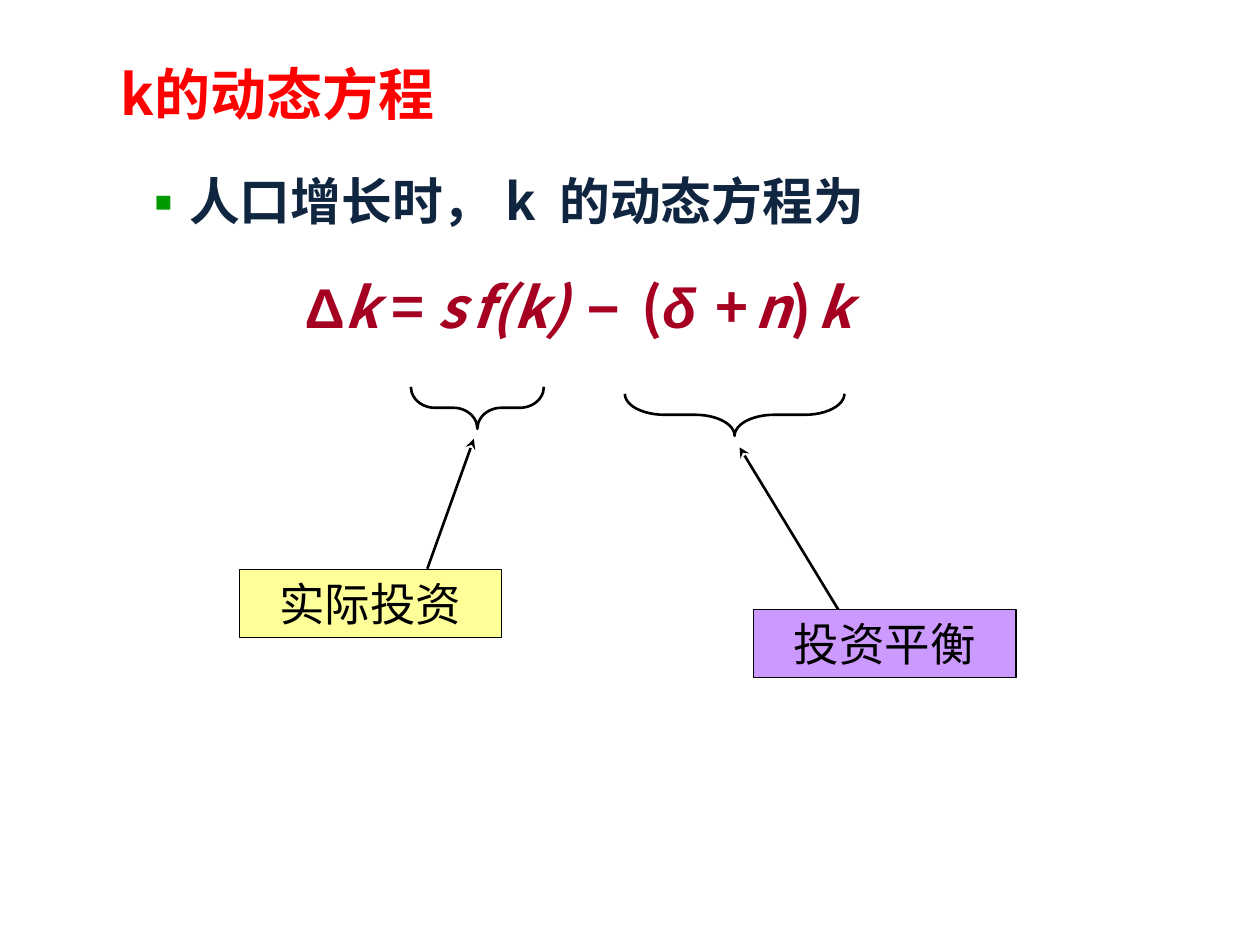
from pptx import Presentation
from pptx.dml.color import RGBColor
from pptx.enum.shapes import MSO_CONNECTOR, MSO_SHAPE
from pptx.enum.text import MSO_ANCHOR, PP_ALIGN
from pptx.oxml.ns import qn
from pptx.util import Pt
from lxml.etree import SubElement

CJK = "Noto Sans CJK SC"
COLORS = {
    "title": "FF0000",
    "body": "10253F",
    "bullet": "009900",
    "formula": "A50021",
    "black": "000000",
    "actual": "FFFF99",
    "balance": "CC99FF",
}
FORMULA = [
    ("Δ", 32, "Arial", False),
    ("k", 32, CJK, True),
    (" = ", 32, CJK, False),
    ("s", 32, CJK, True),
    (" ", 15, CJK, True),
    ("f(k)", 32, CJK, True),
    (" ", 15, CJK, True),
    (" ", 32, CJK, False),
    ("− ", 32, "Arial", False),
    (" ", 15, CJK, True),
    ("(", 32, CJK, False),
    ("δ", 32, "Arial", True),
    (" ", 15, CJK, True),
    (" +", 32, CJK, False),
    (" ", 15, CJK, True),
    ("n", 32, CJK, True),
    (")", 32, CJK, False),
    (" ", 15, CJK, True),
    ("k", 32, CJK, True),
]


def rgb(name):
    return RGBColor.from_string(COLORS[name])


def style_run(r, size, color, font=CJK, bold=False, italic=False):
    r.font.size = Pt(size)
    r.font.name = font
    r.font.bold = bold
    r.font.italic = italic
    r.font.color.rgb = rgb(color)
    SubElement(r._r.get_or_add_rPr(), qn("a:ea")).set("typeface", CJK)


def style_line(s, width):
    s.line.color.rgb = rgb("black")
    s.line.width = Pt(width)


def add_text_box(slide, x, y, w, h):
    tf = slide.shapes.add_textbox(Pt(x), Pt(y), Pt(w), Pt(h)).text_frame
    tf.word_wrap = True
    return tf


def add_title(slide, text):
    tf = add_text_box(slide, 62, 20, 420, 66)
    tf.vertical_anchor = MSO_ANCHOR.MIDDLE
    tf.text = text
    style_run(tf.paragraphs[0].runs[0], 32, "title", bold=True)


def add_bullet(p):
    pPr = p._p.get_or_add_pPr()
    pPr.set("marL", str(Pt(22.5)))
    pPr.set("indent", str(Pt(-22.5)))
    SubElement(SubElement(pPr, qn("a:buClr")), qn("a:srgbClr")).set("val", COLORS["bullet"])
    SubElement(pPr, qn("a:buFont")).set("typeface", CJK)
    SubElement(pPr, qn("a:buChar")).set("char", "▪")


def add_body(slide, text):
    tf = add_text_box(slide, 72, 90, 594, 168)
    tf.text = text
    p = tf.paragraphs[0]
    p.line_spacing = 1.1
    add_bullet(p)
    style_run(p.runs[0], 29, "body", bold=True)

    p = tf.add_paragraph()
    p.space_before = Pt(24)
    p._p.get_or_add_pPr().set("marL", str(Pt(95)))
    for part, size, font, italic in FORMULA:
        r = p.add_run()
        r.text = part
        style_run(r, size, "formula", font, True, italic)


def add_brace(slide, cx, cy, span, depth, curve):
    s = slide.shapes.add_shape(
        MSO_SHAPE.LEFT_BRACE, Pt(cx - depth / 2), Pt(cy - span / 2), Pt(depth), Pt(span)
    )
    s.rotation = 270
    s.adjustments[0] = curve
    s.shadow.inherit = False
    s.fill.background()
    style_line(s, 1.5)


def add_label(slide, text, x, y, fill):
    s = slide.shapes.add_shape(MSO_SHAPE.RECTANGLE, Pt(x), Pt(y), Pt(150), Pt(38.9))
    s.shadow.inherit = False
    s.fill.solid()
    s.fill.fore_color.rgb = rgb(fill)
    style_line(s, 0.75)
    tf = s.text_frame
    tf.vertical_anchor = MSO_ANCHOR.MIDDLE
    tf.text = text
    p = tf.paragraphs[0]
    p.alignment = PP_ALIGN.CENTER
    style_run(p.runs[0], 26, "black", "Cabin")


def add_arrow(slide, x1, y1, x2, y2):
    s = slide.shapes.add_connector(MSO_CONNECTOR.STRAIGHT, Pt(x1), Pt(y1), Pt(x2), Pt(y2))
    style_line(s, 1.5)
    SubElement(s.line._get_or_add_ln(), qn("a:tailEnd")).set("type", "stealth")
    SubElement(s._element.spPr, qn("a:effectLst"))


def main():
    prs = Presentation()
    prs.slide_width, prs.slide_height = Pt(720), Pt(540)
    slide = prs.slides.add_slide(prs.slide_layouts[6])

    add_title(slide, "k的动态方程")
    add_body(slide, "人口增长时， k  的动态方程为")
    add_brace(slide, 272.8, 233, 76, 24, 0.57)
    add_brace(slide, 419.8, 237, 125.5, 24, 0.94)
    add_label(slide, "投资平衡", 430.7, 348.3, "balance")
    add_arrow(slide, 479, 348.3, 422.6, 255.6)
    add_label(slide, "实际投资", 136.8, 325.3, "actual")
    add_arrow(slide, 244.2, 325, 270.8, 250.8)

    prs.save("out.pptx")


if __name__ == "__main__":
    main()
